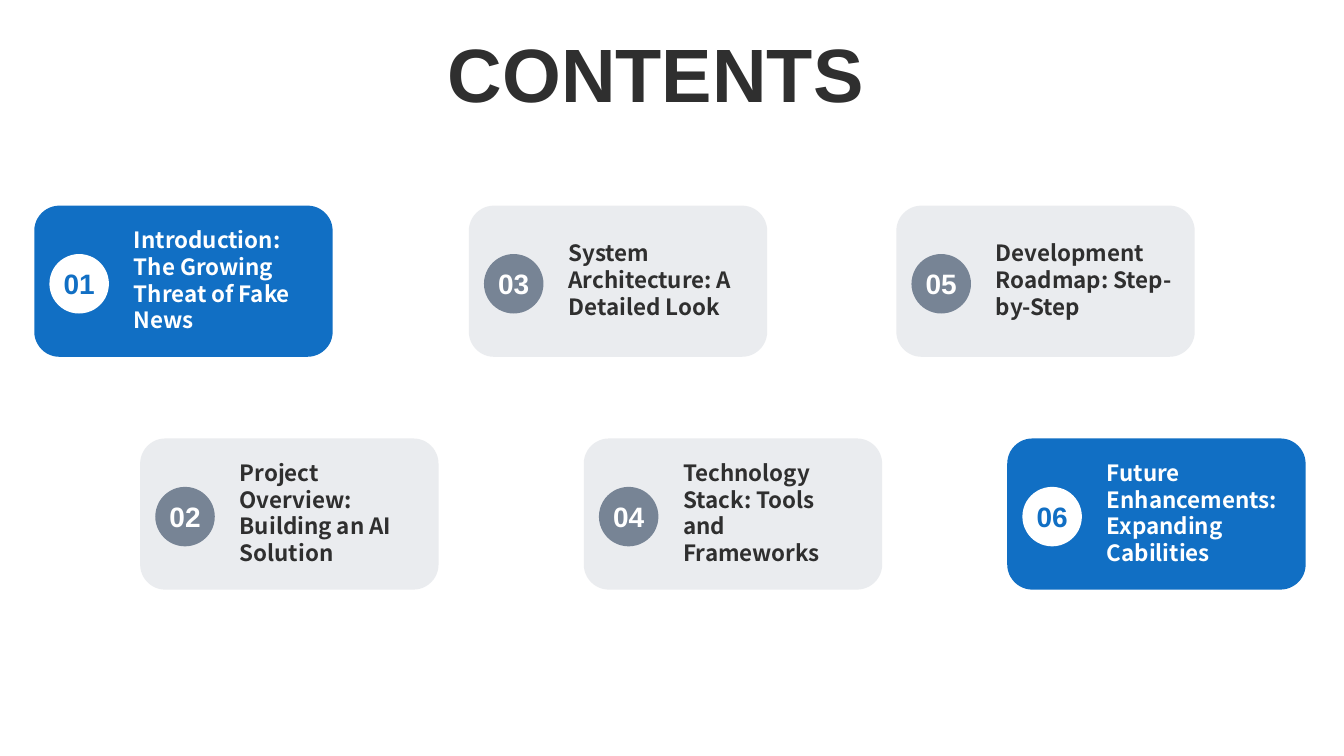
from pptx import Presentation
from pptx.dml.color import RGBColor
from pptx.enum.shapes import MSO_SHAPE
from pptx.enum.text import MSO_ANCHOR, MSO_AUTO_SIZE, PP_ALIGN
from pptx.oxml.ns import qn
from pptx.util import Inches, Pt
from lxml.etree import SubElement

BLUE, GREY, DARK, WHITE = "116FC4", "778495", "2F2F2F", "FFFFFF"
TOP_ROW, BOTTOM_ROW = 2.04, 4.35
CARDS = [
    (0.34, TOP_ROW, "Introduction: The Growing Threat of Fake News", True),
    (1.39, BOTTOM_ROW, "Project Overview: Building an AI Solution", False),
    (4.65, TOP_ROW, "System Architecture: A Detailed Look", False),
    (5.79, BOTTOM_ROW, "Technology Stack: Tools and Frameworks", False),
    (8.89, TOP_ROW, "Development Roadmap: Step-by-Step", False),
    (9.99, BOTTOM_ROW, "Future Enhancements: Expanding Cabilities", True),
]


def color(value):
    return RGBColor.from_string(value)


def set_text(box, text, size, font, shade, align, wrap):
    frame = box.text_frame
    frame.word_wrap = wrap
    paragraph = frame.paragraphs[0]
    paragraph.text = text
    paragraph.alignment = align
    paragraph.font.size = Pt(size)
    paragraph.font.name = font
    paragraph.font.bold = True
    paragraph.font.color.rgb = color(shade)
    return frame


def add_rounded(page, left, top, width, height, fill, opacity=100):
    box = page.shapes.add_shape(
        MSO_SHAPE.ROUNDED_RECTANGLE,
        Inches(left), Inches(top), Inches(width), Inches(height))
    box.shadow.inherit = False
    box.line.fill.background()
    box.fill.solid()
    box.fill.fore_color.rgb = color(fill)
    if opacity < 100:
        solid = box.fill._xPr.find(qn("a:solidFill"))
        SubElement(solid[0], qn("a:alpha"), val=str(opacity * 1000))
    return box


def add_label(page, left, top, width, height, text, size, font, shade, align, wrap):
    box = page.shapes.add_textbox(
        Inches(left), Inches(top), Inches(width), Inches(height))
    frame = set_text(box, text, size, font, shade, align, wrap)
    frame.auto_size = MSO_AUTO_SIZE.SHAPE_TO_FIT_TEXT
    return frame


def add_card(page, number, left, top, topic, highlighted):
    fill, opacity = (BLUE, 100) if highlighted else (GREY, 15)
    badge_fill, badge_text = (WHITE, BLUE) if highlighted else (GREY, WHITE)
    add_rounded(page, left, top, 2.96, 1.5, fill, opacity)

    badge = add_rounded(page, left + 0.15, top + 0.48, 0.59, 0.59, badge_fill)
    badge.adjustments[0] = 0.5
    frame = set_text(badge, f"{number:02}", 20, "Arial", badge_text,
                     PP_ALIGN.CENTER, False)
    frame.vertical_anchor = MSO_ANCHOR.MIDDLE

    frame = add_label(page, left + 0.89, top + 0.38, 1.95, 0.71, topic, 16,
                      "Noto Sans CJK SC", WHITE if highlighted else DARK,
                      PP_ALIGN.LEFT, True)
    frame.vertical_anchor = MSO_ANCHOR.MIDDLE


def main():
    deck = Presentation()
    deck.slide_width, deck.slide_height = Inches(13.33), Inches(7.5)
    page = deck.slides.add_slide(deck.slide_layouts[6])
    title = add_label(page, 4.32, 0.32, 4.37, 0.92, "CONTENTS", 54, "Arial",
                      DARK, PP_ALIGN.CENTER, False)
    title.paragraphs[0].line_spacing = 0.9
    for number, card in enumerate(CARDS, start=1):
        add_card(page, number, *card)
    deck.save("out.pptx")


if __name__ == "__main__":
    main()
